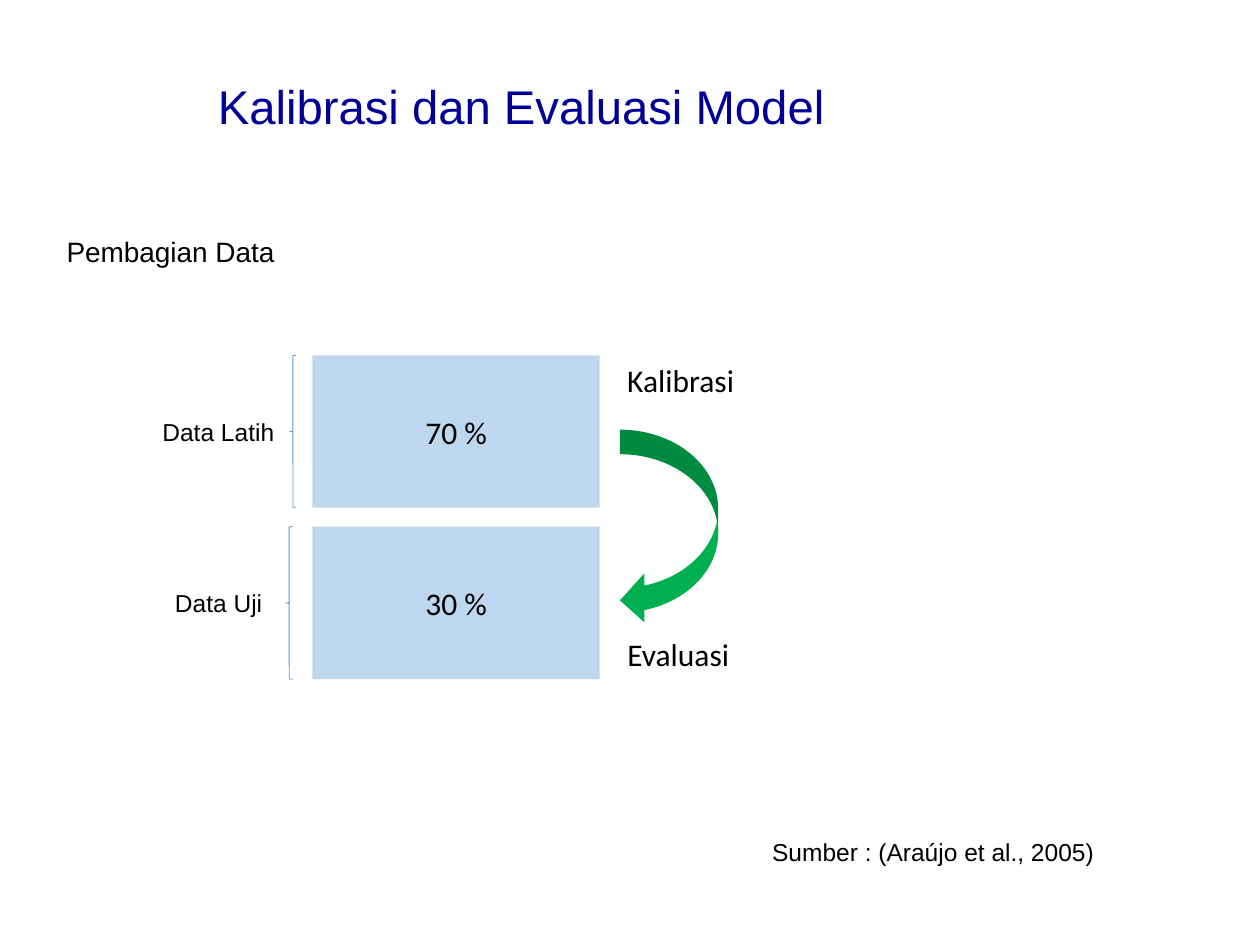
"""Builds the slide on splitting data for model calibration and evaluation."""
from pptx import Presentation
from pptx.dml.color import RGBColor
from pptx.enum.shapes import MSO_SHAPE
from pptx.enum.text import MSO_ANCHOR, PP_ALIGN
from pptx.util import Inches, Pt

NAVY = RGBColor(0x00, 0x00, 0x99)
BLACK = RGBColor(0x00, 0x00, 0x00)
PALE_BLUE = RGBColor(0xBD, 0xD7, 0xEE)
BLUE = RGBColor(0x5B, 0x9B, 0xD5)
GREEN = RGBColor(0x00, 0xB0, 0x50)


class SlideBuilder:
    def __init__(self, slide):
        self.slide = slide
        self.label_font = "Arial"
        self.diagram_font = "Calibri"

    def set_text(self, frame, text, size, font, color=BLACK):
        frame.text = text
        paragraph = frame.paragraphs[0]
        paragraph.font.size = Pt(size)
        paragraph.font.name = font
        paragraph.font.color.rgb = color
        return paragraph

    def label(self, text, left, top, width, height, size=14, font=None):
        box = self.slide.shapes.add_textbox(
            Inches(left), Inches(top), Inches(width), Inches(height))
        box.text_frame.word_wrap = False
        self.set_text(box.text_frame, text, size, font or self.label_font)

    def title(self, text, left, top, width, height):
        box = self.slide.shapes.add_textbox(
            Inches(left), Inches(top), Inches(width), Inches(height))
        box.text_frame.word_wrap = True
        box.text_frame.vertical_anchor = MSO_ANCHOR.MIDDLE
        heading = self.set_text(box.text_frame, text, 27, self.label_font, NAVY)
        heading.line_spacing = 0.9

    def shape(self, kind, left, top, width, height, fill=None, line=None):
        shape = self.slide.shapes.add_shape(
            kind, Inches(left), Inches(top), Inches(width), Inches(height))
        shape.shadow.inherit = False
        if fill is None:
            shape.fill.background()
        else:
            shape.fill.solid()
            shape.fill.fore_color.rgb = fill
        if line is None:
            shape.line.fill.background()
        else:
            shape.line.color.rgb = line
            shape.line.width = Pt(0.5)
        return shape

    def block(self, text, left, top, width, height):
        block = self.shape(MSO_SHAPE.RECTANGLE, left, top, width, height, PALE_BLUE)
        block.text_frame.vertical_anchor = MSO_ANCHOR.MIDDLE
        share = self.set_text(block.text_frame, text, 18, self.diagram_font)
        share.alignment = PP_ALIGN.CENTER

    def brace(self, left, top, height):
        self.shape(MSO_SHAPE.LEFT_BRACE, left, top, 0.05, height, line=BLUE)

    def step(self, text, top, width):
        self.label(text, 4.88, top, width, 0.4, 18, self.diagram_font)


def main():
    presentation = Presentation()
    presentation.slide_width = Inches(10)
    presentation.slide_height = Inches(7.5)
    builder = SlideBuilder(presentation.slides.add_slide(presentation.slide_layouts[6]))

    builder.title("Kalibrasi dan Evaluasi Model", 1.63, 0.4, 7.68, 0.94)
    builder.label("Pembagian Data", 0.43, 1.81, 1.87, 0.37, 16)

    block_height = 1.21
    data_parts = [
        ("Data Latih", "70 %", 2.82, 2.3, 1.19, 1.09),
        ("Data Uji", "30 %", 4.18, 2.27, 1.29, 0.9),
    ]
    for name, share, top, brace_left, name_left, name_width in data_parts:
        builder.block(share, 2.48, top, 2.28, block_height)
        builder.brace(brace_left, top, block_height)
        builder.label(name, name_left, top + 0.44, name_width, 0.34)

    builder.step("Kalibrasi", 2.82, 1.06)
    builder.step("Evaluasi", 4.99, 1.02)
    builder.shape(MSO_SHAPE.CURVED_LEFT_ARROW, 4.92, 3.41, 0.78, 1.55, GREEN)
    builder.label("Sumber : (Araújo et al., 2005)", 6.03, 6.59, 2.77, 0.34)

    presentation.save("out.pptx")


if __name__ == "__main__":
    main()
